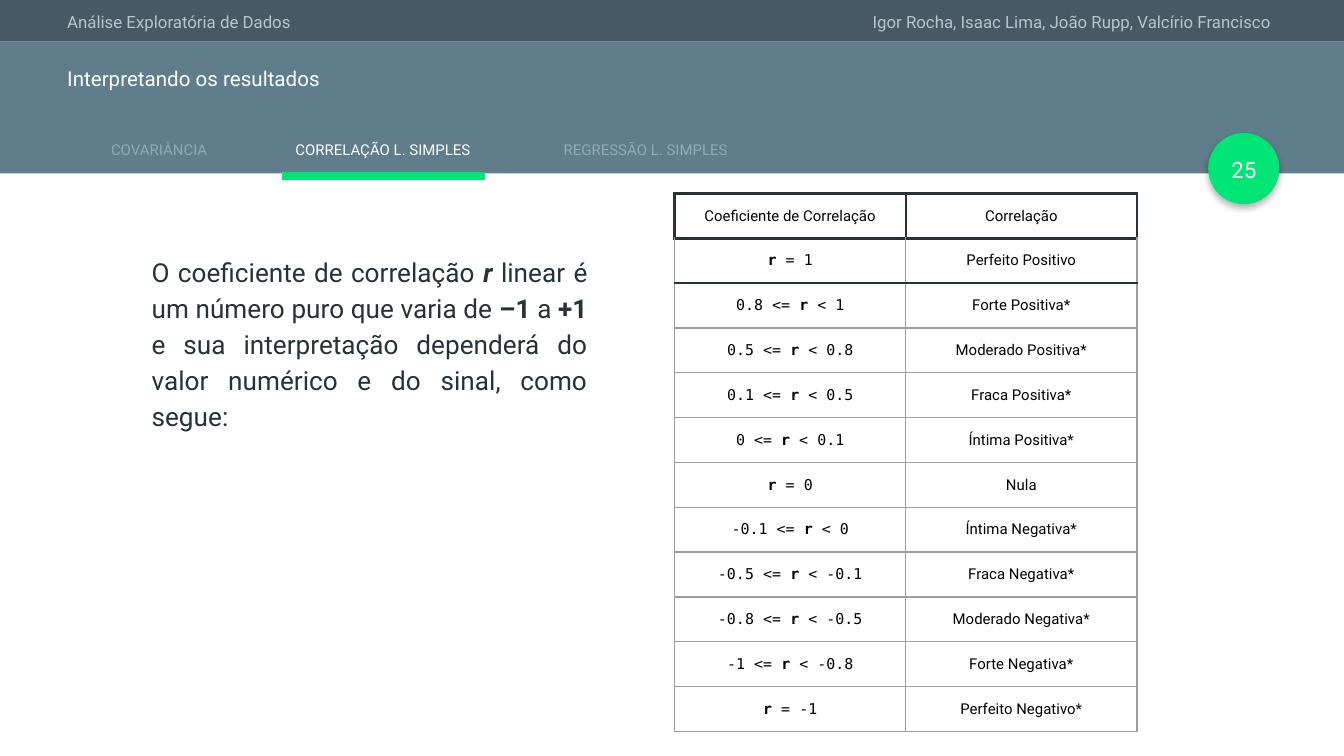
from lxml import etree
from pptx import Presentation
from pptx.dml.color import RGBColor
from pptx.enum.shapes import MSO_CONNECTOR, MSO_SHAPE
from pptx.enum.text import MSO_ANCHOR, PP_ALIGN
from pptx.oxml.ns import qn
from pptx.util import Inches, Pt

RECTANGLE, OVAL = MSO_SHAPE.RECTANGLE, MSO_SHAPE.OVAL
STRAIGHT = MSO_CONNECTOR.STRAIGHT
TOP, MIDDLE = MSO_ANCHOR.TOP, MSO_ANCHOR.MIDDLE
LEFT, CENTER, RIGHT, JUSTIFY = PP_ALIGN.LEFT, PP_ALIGN.CENTER, PP_ALIGN.RIGHT, PP_ALIGN.JUSTIFY
SANS, MONO = "Roboto", "DejaVu Sans Mono"
COLORS = {
    "bar": "455A64", "header": "607D8B", "accent": "00E676", "white": "FFFFFF",
    "caption": "B6C6CC", "inactive": "92AAB4", "dark": "263238",
    "black": "000000", "grid": "9E9E9E",
}
TABS = [
    ("COVARIÂNCIA", 0.43, 1.51, "inactive"),
    ("CORRELAÇÃO L. SIMPLES", 2.04, 1.62, "white"),
    ("REGRESSÃO L. SIMPLES", 4.05, 1.51, "inactive"),
]
EXPLANATION = [
    ("O coeficiente de correlação ", False, False), ("r", True, True),
    (" linear é um número puro que varia de ", False, False), ("–1", True, False),
    (" a ", False, False), ("+1", True, False),
    (" e sua interpretação dependerá do valor numérico e do sinal, como segue: ", False, False),
]
HEADINGS = ("Coeficiente de Correlação", "Correlação")
INTERPRETATIONS = [
    ("r = 1", "Perfeito Positivo"),
    ("0.8 <= r < 1", "Forte Positiva*"),
    ("0.5 <= r < 0.8", "Moderado Positiva*"),
    ("0.1 <= r < 0.5", "Fraca Positiva*"),
    ("0 <= r < 0.1", "Íntima Positiva*"),
    ("r = 0", "Nula"),
    ("-0.1 <= r < 0", "Íntima Negativa*"),
    ("-0.5 <= r < -0.1", "Fraca Negativa*"),
    ("-0.8 <= r < -0.5", "Moderado Negativa*"),
    ("-1 <= r < -0.8", "Forte Negativa*"),
    ("r = -1", "Perfeito Negativo*"),
]


def rgb(name):
    return RGBColor.from_string(COLORS[name])


def write_text(frame, content, size=8, color="black", font=SANS, align=LEFT, spacing=None):
    paragraph = frame.paragraphs[0]
    paragraph.alignment = align
    if spacing:
        paragraph.line_spacing = spacing
    runs = [(content, False, False)] if isinstance(content, str) else content
    for text, bold, italic in runs:
        run = paragraph.add_run()
        run.text = text
        run.font.name = font
        run.font.size = Pt(size)
        run.font.bold = bold
        run.font.italic = italic
        run.font.color.rgb = rgb(color)


def set_margins(target, horizontal, vertical):
    target.margin_left = target.margin_right = Inches(horizontal)
    target.margin_top = target.margin_bottom = Inches(vertical)


def add_text(slide, content, left, top, width, height, anchor=TOP, margins=(0.07, 0.04), **text_format):
    box = slide.shapes.add_textbox(Inches(left), Inches(top), Inches(width), Inches(height))
    frame = box.text_frame
    frame.word_wrap = True
    frame.vertical_anchor = anchor
    set_margins(frame, *margins)
    write_text(frame, content, **text_format)


def add_filled_shape(slide, kind, left, top, width, height, color):
    shape = slide.shapes.add_shape(kind, Inches(left), Inches(top), Inches(width), Inches(height))
    shape.shadow.inherit = False
    shape.fill.solid()
    shape.fill.fore_color.rgb = rgb(color)
    shape.line.fill.background()
    return shape


def add_soft_shadow(shape):
    effects = shape._element.spPr.find(qn("a:effectLst"))
    shadow = etree.SubElement(effects, qn("a:outerShdw"), blurRad=str(Pt(4)),
                              dist=str(Pt(2)), dir="5400000", algn="ctr", rotWithShape="0")
    color = etree.SubElement(shadow, qn("a:srgbClr"), val=COLORS["black"])
    etree.SubElement(color, qn("a:alpha"), val="30000")


def add_line(slide, left, right, y, color, width):
    line = slide.shapes.add_connector(STRAIGHT, Inches(left), Inches(y), Inches(right), Inches(y))
    line.line.color.rgb = rgb(color)
    line.line.width = Pt(width)
    etree.SubElement(line._element.spPr, qn("a:effectLst"))


def set_borders(cell, **borders):
    properties = cell._tc.get_or_add_tcPr()
    for index, side in enumerate(("L", "R", "T", "B")):
        color, width = borders.get(side, ("grid", 0.75))
        line = etree.Element(qn("a:ln" + side), w=str(Pt(width)))
        fill = etree.SubElement(line, qn("a:solidFill"))
        etree.SubElement(fill, qn("a:srgbClr"), val=COLORS[color])
        properties.insert(index, line)


def row_borders(row):
    heavy, medium = ("dark", 1.5), ("dark", 1)
    if row == 0:
        return dict.fromkeys("LRTB", heavy)
    return {1: {"T": heavy, "B": medium}, 2: {"T": medium}}.get(row, {})


def mark_coefficient(expression):
    before, symbol, after = expression.partition("r")
    parts = [(before, False, False), (symbol, True, False), (after, False, False)]
    return [part for part in parts if part[0]]


def add_interpretation_table(slide):
    rows = [HEADINGS] + INTERPRETATIONS
    frame = slide.shapes.add_table(len(rows), 2, Inches(5.02), Inches(1.44),
                                   Inches(3.44), Inches(0.27 * len(rows)))
    table = frame.table
    table.first_row = table.horz_banding = False
    for column in table.columns:
        column.width = Inches(1.72)
    for row_index, values in enumerate(rows):
        table.rows[row_index].height = Inches(0.27)
        for column_index, value in enumerate(values):
            cell = table.cell(row_index, column_index)
            cell.fill.background()
            cell.vertical_anchor = MIDDLE
            set_margins(cell, 0.1, 0.1)
            is_expression = row_index > 0 and column_index == 0
            write_text(cell.text_frame, mark_coefficient(value) if is_expression else value,
                       font=MONO if is_expression else SANS, align=CENTER)
            set_borders(cell, **row_borders(row_index))


def add_header(slide):
    add_filled_shape(slide, RECTANGLE, 0, 0, 10, 0.31, "bar")
    add_filled_shape(slide, RECTANGLE, 0, 0.31, 10, 0.98, "header")
    add_text(slide, "Análise Exploratória de Dados", 0.43, 0.05, 4.17, 0.23,
             size=9, color="caption")
    add_text(slide, "Igor Rocha, Isaac Lima, João Rupp, Valcírio Francisco",
             5.35, 0.05, 4.17, 0.23, size=9, color="caption", align=RIGHT)
    add_soft_shadow(add_filled_shape(slide, OVAL, 8.99, 0.99, 0.53, 0.53, "accent"))
    add_line(slide, 2.1, 3.61, 1.31, "accent", 4.5)
    for label, left, width, color in TABS:
        add_text(slide, label, left, 1.01, width, 0.2, anchor=MIDDLE, color=color, align=CENTER)
    add_text(slide, "Interpretando os resultados", 0.43, 0.47, 9.21, 0.35,
             size=11, color="white", spacing=0.9)
    add_text(slide, "25", 8.96, 1.01, 0.59, 0.5, anchor=MIDDLE,
             size=12, color="white", align=CENTER)


def main():
    presentation = Presentation()
    presentation.slide_width = Inches(10)
    presentation.slide_height = Inches(10 * 9 / 16)
    slide = presentation.slides.add_slide(presentation.slide_layouts[6])
    add_header(slide)
    add_text(slide, EXPLANATION, 1.03, 1.77, 3.44, 1.52, margins=(0.1, 0.1),
             size=14, color="dark", align=JUSTIFY, spacing=1.15)
    add_interpretation_table(slide)
    presentation.save("out.pptx")


if __name__ == "__main__":
    main()
